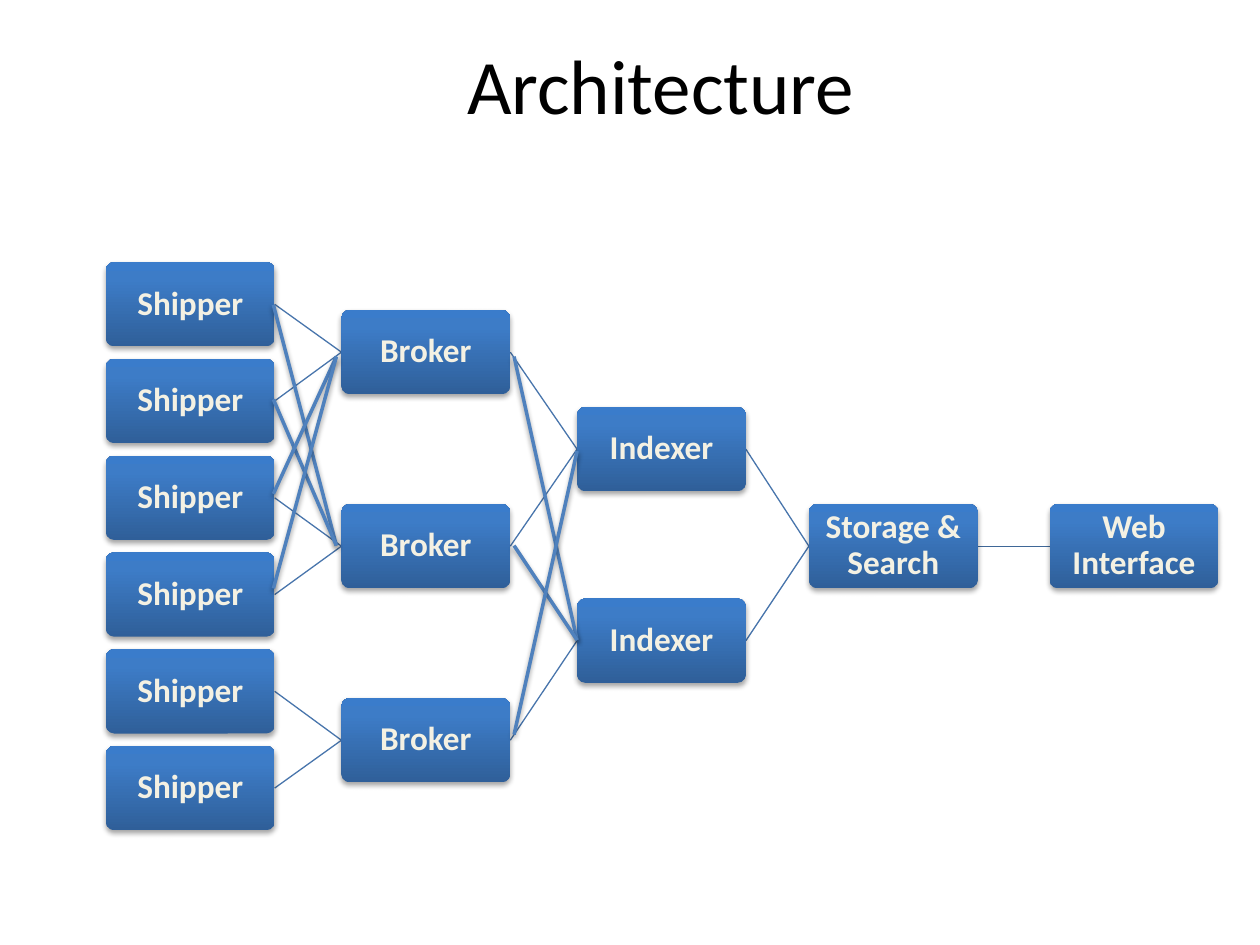
from copy import deepcopy
from dataclasses import dataclass

from lxml import etree
from pptx import Presentation
from pptx.dml.color import RGBColor
from pptx.enum.shapes import MSO_CONNECTOR, MSO_SHAPE
from pptx.enum.text import MSO_ANCHOR, PP_ALIGN
from pptx.oxml.ns import qn
from pptx.util import Inches, Pt

ROUND = MSO_SHAPE.ROUNDED_RECTANGLE
LINE = MSO_CONNECTOR.STRAIGHT
MIDDLE = MSO_ANCHOR.MIDDLE
CENTER = PP_ALIGN.CENTER


@dataclass(frozen=True)
class Theme:
    """Colours, type and line sizes of the deck."""
    font: str = "Calibri"
    head: int = 44
    body: int = 19
    ink: str = "000000"
    label: str = "F4F1E3"
    edge: str = "054697"
    link: str = "4875AC"
    last: str = "3F6797"
    cross: str = "4F81BD"
    shade: str = "000000"
    thin: float = 0.75
    thick: float = 2
    stops: tuple = ((0, "2F5F99"), (0.8, "3D7CC7"), (1, "3A7CCB"))


@dataclass(frozen=True)
class Node:
    """A box of the diagram, placed by its top left corner."""
    text: str
    left: float
    top: float
    wide: float = 1.34
    high: float = 0.67

    def start(self):
        """Return the middle of the left side."""
        return self.left, self.top + self.high / 2

    def end(self):
        """Return the middle of the right side."""
        return self.left + self.wide, self.top + self.high / 2


def apply(item, values):
    """Set each named value on the item."""
    for name, value in values.items():
        setattr(item, name, value)


def solid(parent, color, alpha=None):
    """Add an RGB colour element, with an optional opacity in percent."""
    tint = etree.SubElement(parent, qn("a:srgbClr"), val=color)
    if alpha is not None:
        etree.SubElement(tint, qn("a:alpha"), val=str(alpha * 1000))


class Painter:
    """Draws styled elements on the current slide."""

    def __init__(self, slide, theme):
        """Keep the slide and its theme."""
        self.slide = slide
        self.theme = theme

    def label(self, shape, text, size, color, bold=False, inset=0.1):
        """Fill a shape with centred text."""
        frame = shape.text_frame
        gap = Inches(inset)
        apply(frame, {"word_wrap": True, "vertical_anchor": MIDDLE,
                      "margin_left": gap, "margin_right": gap,
                      "margin_top": gap // 2, "margin_bottom": gap // 2})
        para = frame.paragraphs[0]
        para.alignment = CENTER
        run = para.add_run()
        run.text = text
        apply(run.font, {"name": self.theme.font, "size": Pt(size), "bold": bold})
        run.font.color.rgb = RGBColor.from_string(color)

    def title(self, text, *place):
        """Add the slide title."""
        box = self.slide.shapes.add_textbox(*map(Inches, place))
        self.label(box, text, self.theme.head, self.theme.ink)

    def shadow(self, shape, blur=0.0, drop=0.0, alpha=0):
        """Set a downward shadow, or none when alpha is zero."""
        effect = etree.SubElement(shape.element.spPr, qn("a:effectLst"))
        if alpha:
            outer = etree.SubElement(
                effect, qn("a:outerShdw"), blurRad=str(Pt(blur)),
                dist=str(Pt(drop)), dir="5400000", rotWithShape="0")
            solid(outer, self.theme.shade, alpha)

    def box(self, node):
        """Add a labelled box with a gradient."""
        shape = self.slide.shapes.add_shape(ROUND, *map(
            Inches, (node.left, node.top, node.wide, node.high)))
        shape.adjustments[0] = 0.1
        shape.fill.gradient()
        shape.fill.gradient_angle = 90
        stops = next(shape.element.spPr.iter(qn("a:gsLst")))
        stops.append(deepcopy(stops[-1]))
        for stop, (spot, color) in zip(shape.fill.gradient_stops, self.theme.stops):
            stop.position = spot
            stop.color.rgb = RGBColor.from_string(color)
        shape.line.fill.background()
        self.shadow(shape, 3.1, 1.8, 35)
        self.label(shape, node.text, self.theme.body, self.theme.label, True, 0.03)
        shape.text_frame.paragraphs[0].line_spacing = 0.9
        edge = etree.Element(qn("a:ln"), w=str(Pt(1)))
        solid(etree.SubElement(edge, qn("a:solidFill")), self.theme.edge)
        next(shape.element.iter(qn("a:rPr"))).insert(0, edge)

    def line(self, start, end, color, width):
        """Add a straight line and return it."""
        line = self.slide.shapes.add_connector(LINE, *map(Inches, (*start, *end)))
        line.line.color.rgb = RGBColor.from_string(color)
        line.line.width = Pt(width)
        return line

    def link(self, start, end, color):
        """Add a thin line without shadow."""
        self.shadow(self.line(start, end, color, self.theme.thin))

    def cross(self, start, end):
        """Add a thick line with a shadow."""
        line = self.line(start, end, self.theme.cross, self.theme.thick)
        self.shadow(line, 3.1, 1.6, 38)


def column(text, left, top, step, count):
    """Return evenly spaced nodes below each other."""
    return [Node(text, left, top + step * row) for row in range(count)]


def main():
    """Build the architecture slide."""
    deck = Presentation()
    apply(deck, {"slide_width": Inches(10), "slide_height": Inches(7.5)})
    theme = Theme()
    paint = Painter(deck.slides.add_slide(deck.slide_layouts[6]), theme)
    paint.title("Architecture", 0.83, 0.04, 8.83, 1.25)

    ships = column("Shipper", 0.84, 2.08, 3.84 / 5, 6)
    brokers = column("Broker", 2.71, 2.46, 1.54, 3)
    indexers = column("Indexer", 4.58, 3.23, 1.52, 2)
    store = Node("Storage & Search", 6.42, 4)
    web = Node("Web Interface", 8.33, 4)

    pairs = [(ship, brokers[row // 2]) for row, ship in enumerate(ships)]
    pairs += [(broker, indexers[row // 2]) for row, broker in enumerate(brokers)]
    pairs += [(indexer, store) for indexer in indexers]
    for source, target in pairs:
        paint.link(source.end(), target.start(), theme.link)
    paint.link(store.end(), web.start(), theme.last)
    for node in (*ships, *brokers, *indexers, store, web):
        paint.box(node)

    for left, top, low in ((2.17, 2.42, 4.33), (2.17, 3.17, 4.33),
                           (2.17, 3.92, 2.83), (2.17, 4.67, 2.83),
                           (4.08, 2.83, 5.08), (4.08, 4.33, 5.08),
                           (4.08, 5.83, 3.58)):
        paint.cross((left, top), (left + 0.5, low))
    deck.save("out.pptx")


if __name__ == "__main__":
    main()
